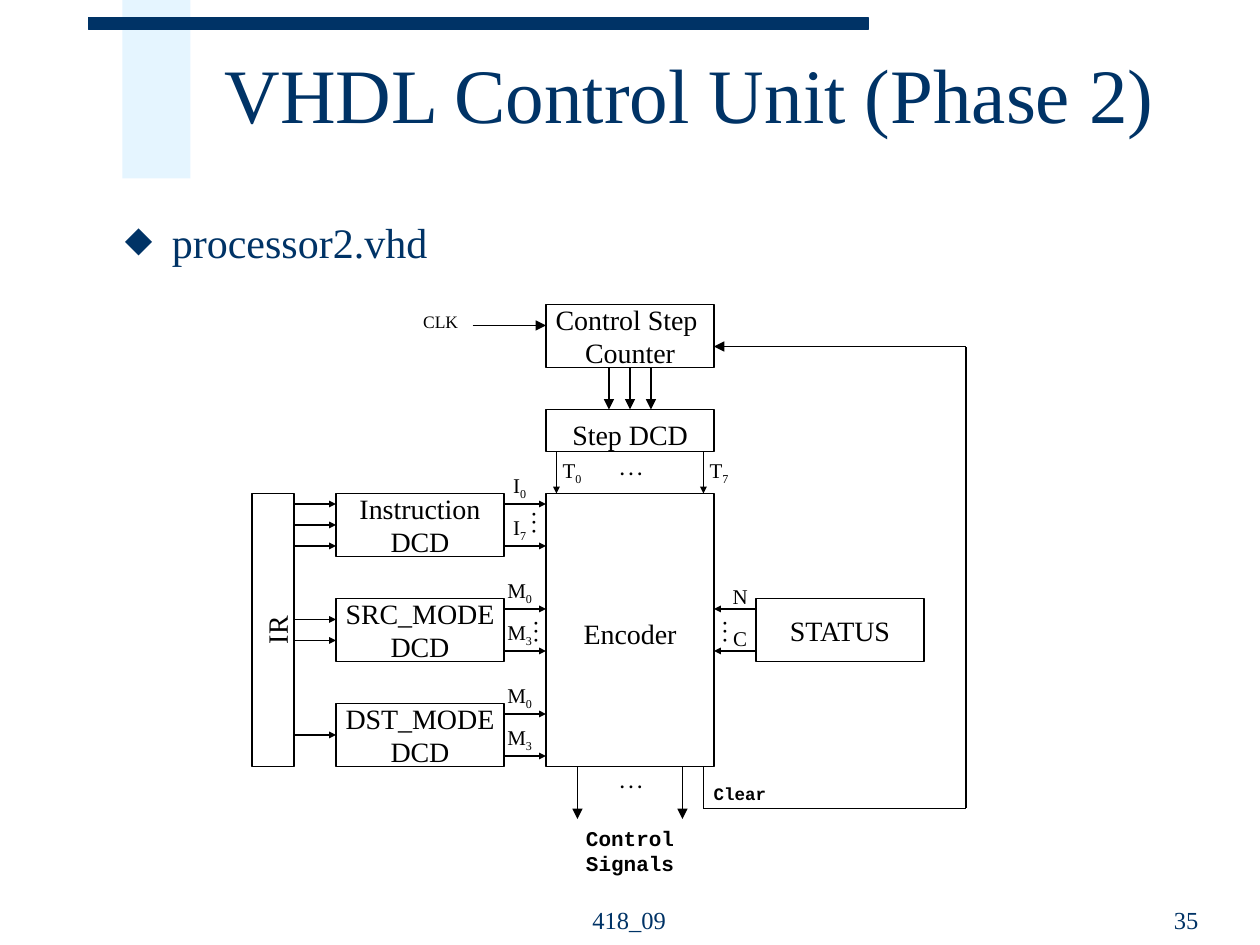
from itertools import pairwise

from lxml.etree import SubElement
from pptx import Presentation
from pptx.dml.color import RGBColor
from pptx.enum.shapes import MSO_CONNECTOR, MSO_SHAPE
from pptx.enum.text import MSO_ANCHOR, MSO_AUTO_SIZE, PP_ALIGN
from pptx.oxml.ns import qn
from pptx.util import Cm, Pt

STEP = 2.54 / 12  # diagram grid, in cm
NAVY, BLACK, WHITE, PALE = "003366", "000000", "FFFFFF", "CCECFF"
SERIF, MONO = "Times New Roman", "Courier New"
LEFT, CENTER, RIGHT = PP_ALIGN.LEFT, PP_ALIGN.CENTER, PP_ALIGN.RIGHT
TOP, LEFT_SIDE, BOTTOM = 0, 1, 2  # connection sites


def color(value):
    return RGBColor.from_string(value)


def grid(*units):
    return [unit * STEP for unit in units]


class Painter:
    """Holds the style and the current slide; lengths come in as cm."""

    def __init__(self, page):
        self.page = page

    def span(self, para, text, size, ink=BLACK, font=SERIF, bold=False):
        span = para.add_run()
        span.text = text
        span.font.name, span.font.size, span.font.bold = font, Pt(size), bold
        span.font.color.rgb = color(ink)
        return span

    def placeholder(self, index, frame, text, size, anchor):
        box = self.page.placeholders[index]
        box.left, box.top, box.width, box.height = map(Cm, frame)
        box.text_frame.auto_size = MSO_AUTO_SIZE.NONE
        box.text_frame.vertical_anchor = anchor
        para = box.text_frame.paragraphs[0]
        para.alignment = LEFT
        self.span(para, text, size, NAVY)
        return para

    def bullet(self, para, mark, indent):
        props = para._p.get_or_add_pPr()
        props.set("marL", str(Cm(indent)))
        props.set("indent", str(-Cm(indent)))
        tint = SubElement(props, qn("a:buClr"))
        SubElement(tint, qn("a:srgbClr")).set("val", NAVY)
        SubElement(props, qn("a:buFont")).set("typeface", SERIF)
        SubElement(props, qn("a:buChar")).set("char", mark)

    def rectangle(self, frame, fill=WHITE, line=BLACK, opacity=None):
        box = self.page.shapes.add_shape(MSO_SHAPE.RECTANGLE, *map(Cm, frame))
        box.shadow.inherit = False
        box.fill.solid()
        box.fill.fore_color.rgb = color(fill)
        if opacity:
            tint = box.fill._xPr.find(".//" + qn("a:srgbClr"))
            SubElement(tint, qn("a:alpha")).set("val", str(opacity * 1000))
        if line:
            box.line.color.rgb = color(line)
            box.line.width = Pt(0.75)
        else:
            box.line.fill.background()
        return box

    def block(self, frame, *lines, drop=0, turn=0):
        box = self.rectangle(frame)
        box.rotation = turn
        body = box.text_frame
        body.margin_left = body.margin_right = body.margin_bottom = 0
        body.margin_top = Cm(drop)
        body.vertical_anchor = MSO_ANCHOR.MIDDLE
        para = body.paragraphs[0]
        para.alignment = CENTER
        for number, line in enumerate(lines):
            if number:
                para.add_line_break()
            self.span(para, line, 16)
        return box

    def label(self, frame, *lines, size=12, align=CENTER, sub="", turn=0,
              anchor=MSO_ANCHOR.TOP, **look):
        box = self.page.shapes.add_textbox(*map(Cm, frame))
        box.rotation = turn
        body = box.text_frame
        body.word_wrap = True
        body.vertical_anchor = anchor
        for number, line in enumerate(lines):
            para = body.add_paragraph() if number else body.paragraphs[0]
            para.alignment = align
            self.span(para, line, size, **look)
        if sub:
            low = self.span(para, sub, size, **look)
            low.font._element.set("baseline", "-25000")

    def wire(self, start, end, head=None, begin=None, finish=None):
        line = self.page.shapes.add_connector(
            MSO_CONNECTOR.STRAIGHT, *map(Cm, grid(*start, *end)))
        if begin:
            line.begin_connect(*begin)
        if finish:
            line.end_connect(*finish)
        line.line.color.rgb = color(BLACK)
        line.line.width = Pt(0.75)
        if head:
            tip = SubElement(line.line._get_or_add_ln(), qn("a:tailEnd"))
            for key, value in (("type", "triangle"), ("w", head), ("len", head)):
                tip.set(key, value)
        SubElement(line._element.spPr, qn("a:effectLst"))


def draw_page(art):
    # Page decoration, title and list
    art.rectangle((2.47, 0, 1.37, 3.6), PALE, None, opacity=50)
    art.rectangle((1.78, 0.36, 15.72, 0.23), NAVY, NAVY)
    title = art.placeholder(0, (4.27, 0.43, 20.5, 3.18),
                            "VHDL Control Unit (Phase 2)", 44, MSO_ANCHOR.MIDDLE)
    title.line_spacing = 0.85
    item = art.placeholder(1, (2.26, 4.24, 22.1, 12.7), "processor2.vhd", 24,
                           MSO_ANCHOR.TOP)
    item.space_before = Pt(6)
    art.bullet(item, "⬥", 0.95)

    # Footer
    for frame, text, align in (((10.36, 17.7, 4.65, 1.27), "418_09", CENTER),
                               ((18.31, 17.7, 6.1, 1.27), "35", RIGHT)):
        art.label(frame, text, size=14, align=align, ink=NAVY,
                  anchor=MSO_ANCHOR.BOTTOM)


def draw_diagram(art):
    # Blocks
    counter = art.block(grid(52, 29, 16, 6), "Control Step ", "Counter")
    step_decoder = art.block(grid(52, 39, 16, 4), "Step DCD", drop=0.15)
    art.block(grid(52, 47, 16, 26), "Encoder", drop=0.15)
    art.block(grid(72, 57, 16, 6), "STATUS")
    art.block(grid(13, 58, 26, 4), "IR", drop=0.15, turn=270)
    instruction, _, destination = [
        art.block(grid(32, top, 16, 6), name, "DCD")
        for top, name in ((47, "Instruction"), (57, "SRC_MODE"), (67, "DST_MODE"))]

    # Clock and counter outputs
    art.wire((45, 31), (52, 31), "med")
    art.label(grid(37, 29, 7.8, 3.2), "CLK", size=10, align=RIGHT)
    for x in (58, 62):
        art.wire((x, 35), (x, 39), "med")
    art.wire((60, 35), (60, 39), "med", (counter, BOTTOM), (step_decoder, TOP))

    # Time steps into the encoder
    for x, number in ((53, "0"), (67, "7")):
        art.wire((x, 43), (x, 47), "sm")
        art.label(grid(x - 0.6, 43, 5, 4), "T", sub=number, align=LEFT)

    # Instruction register to the decoders
    targets = {50: instruction, 70: destination}
    for y in (48, 50, 52, 59, 61, 70):
        target = targets.get(y)
        art.wire((28, y), (32, y), "sm", finish=target and (target, LEFT_SIDE))

    # Decoders to the encoder
    for y, letter, last in ((48, "I", "7"), (58, "M", "3"), (68, "M", "3")):
        for row, number in ((y, "0"), (y + 4, last)):
            art.wire((48, row), (52, row), "sm")
            art.label(grid(47, row - 3.6, 5, 4), letter, sub=number)

    # Status flags
    for y, flag in ((58, "N"), (62, "C")):
        art.wire((72, y), (68, y), "sm")
        art.label(grid(68, y - 3, 5, 3.6), flag)

    # Ellipses
    for x, y, turn in ((57.2, 43, 0), (57.2, 72.8, 0), (66.7, 58.6, 90),
                       (48.5, 48.2, 90), (48.7, 58.6, 90)):
        art.label(grid(x, y, 5.8, 3.2), ". . .", size=10, bold=True, turn=turn)

    # Control signals and the clear loop
    for x in (55, 65):
        art.wire((x, 73), (x, 78), "med")
    art.label(grid(52, 78, 16, 7), "Control", "Signals", font=MONO, bold=True)
    loop = [(67, 73), (67, 77), (92, 77), (92, 33), (68, 33)]
    for start, end in pairwise(loop):
        art.wire(start, end, "med" if end == loop[-1] else None)
    art.label(grid(66.8, 74, 8.2, 3.2), "Clear", size=10, align=LEFT,
              font=MONO, bold=True)


def main():
    deck = Presentation()
    deck.slide_width, deck.slide_height = Cm(25.4), Cm(19.05)
    art = Painter(deck.slides.add_slide(deck.slide_layouts[1]))
    draw_page(art)
    draw_diagram(art)
    deck.save("out.pptx")


if __name__ == "__main__":
    main()
